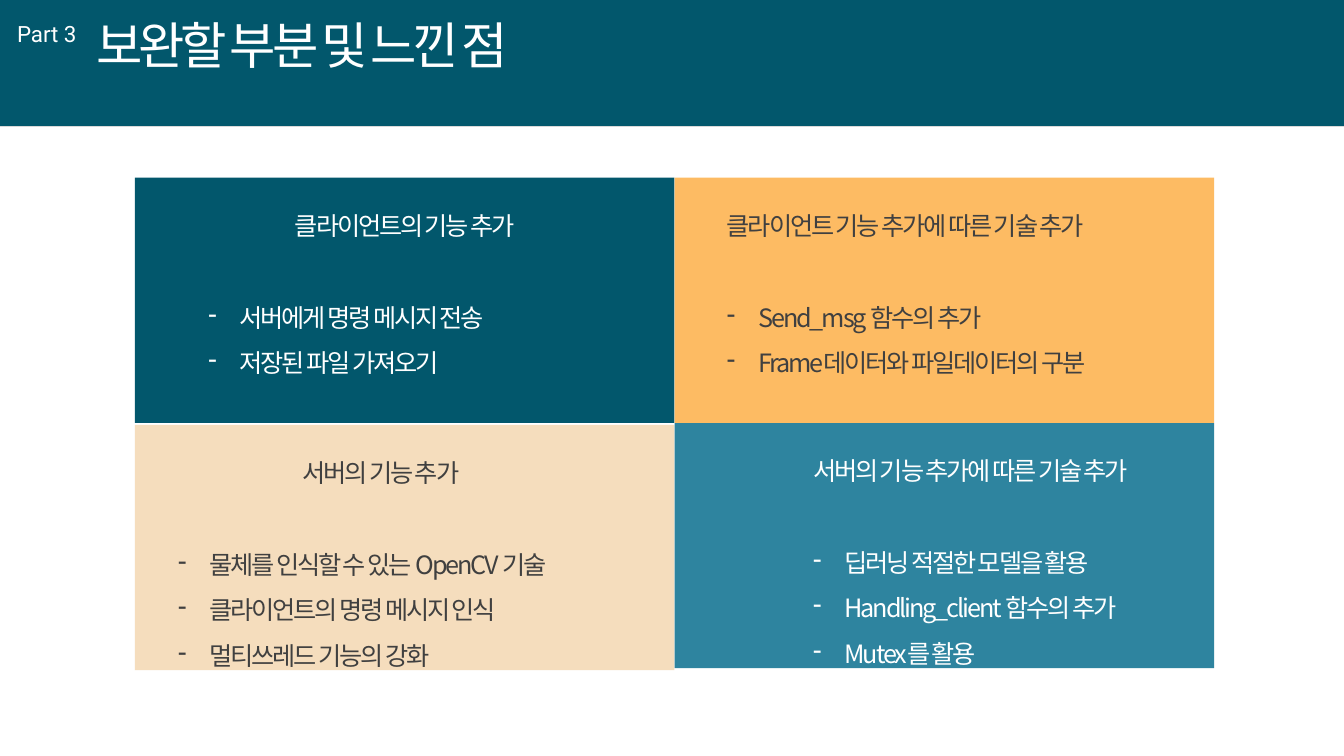
from dataclasses import dataclass
from lxml.etree import SubElement
from pptx import Presentation
from pptx.dml.color import RGBColor
from pptx.enum.shapes import MSO_CONNECTOR, MSO_SHAPE
from pptx.enum.text import MSO_AUTO_SIZE, PP_ALIGN
from pptx.oxml.ns import qn
from pptx.util import Cm, Pt


@dataclass(frozen=True)
class Theme:
    teal: str = "02576C"
    amber: str = "FDBB63"
    sand: str = "F5DDBD"
    blue: str = "2E849F"
    white: str = "FFFFFF"
    dark: str = "404040"
    rule: str = "D9D9D9"
    korean: str = "Noto Sans CJK KR"
    latin: str = "Roboto"
    title: int = 36
    label: int = 16
    body: int = 18
    gap: int = 33


THEME = Theme()


def add_rect(slide, box, fill):
    rect = slide.shapes.add_shape(MSO_SHAPE.RECTANGLE, *map(Cm, box))
    rect.shadow.inherit = False
    rect.fill.solid()
    rect.fill.fore_color.rgb = RGBColor.from_string(fill)
    rect.line.fill.background()


def add_frame(slide, box):
    frame = slide.shapes.add_textbox(*map(Cm, box)).text_frame
    frame.word_wrap = False
    frame.auto_size = MSO_AUTO_SIZE.SHAPE_TO_FIT_TEXT
    return frame


def add_run(para, text, size, color, font=THEME.korean, track=0):
    run = para.add_run()
    run.text = text
    run.font.size = Pt(size)
    run.font.color.rgb = RGBColor.from_string(color)
    run.font.name = font
    props = run.font._element
    SubElement(props, qn("a:ea")).set("typeface", font)
    if track:
        props.set("spc", str(int(track * 100)))


def add_bullet(para):
    props = para._p.get_or_add_pPr()
    props.set("marL", str(Cm(0.79)))
    props.set("indent", str(-Cm(0.79)))
    SubElement(props, qn("a:buChar")).set("char", "-")


def add_header(slide, box):
    left, top, width, height = box
    add_rect(slide, box, THEME.teal)
    line = slide.shapes.add_connector(
        MSO_CONNECTOR.STRAIGHT, Cm(left), Cm(top + height),
        Cm(left + width), Cm(top + height))
    line.line.color.rgb = RGBColor.from_string(THEME.rule)
    line.line.width = Pt(0.5)
    SubElement(line._element.spPr, qn("a:effectLst"))
    title = add_frame(slide, (left + 2.18, top + 0.23, 12.47, 1.8))
    add_run(title.paragraphs[0], "보완할 부분 및 느낀 점", THEME.title, THEME.white, track=-3)
    label = add_frame(slide, (left + 0.18, top + 0.38, 2.18, 0.94))
    add_run(label.paragraphs[0], "Part 3", THEME.label, THEME.white, THEME.latin)


def add_panel(slide, box, fill, color, inset, width, align, head, items):
    left, top = box[:2]
    add_rect(slide, box, fill)
    height = 2.42 + 1.15 * len(items)
    frame = add_frame(slide, (left + inset, top + 0.32, width, height))
    para = frame.paragraphs[0]
    para.alignment = align
    para.line_spacing = 1.5
    add_run(para, head, THEME.body, color, track=-1.5)
    for index, item in enumerate(items):
        para = frame.add_paragraph()
        para.line_spacing = 1.5
        if index == 0:
            para.space_before = Pt(THEME.gap)
        add_bullet(para)
        add_run(para, item, THEME.body, color, track=-1.5)


def add_grid(slide, box):
    left, top, width, height = box
    wide, high = width / 2, height / 2
    panels = [
        (0, 0, THEME.teal, THEME.white, 1.6, 10.41, PP_ALIGN.CENTER,
         "클라이언트의 기능 추가",
         ["서버에게 명령 메시지 전송", "저장된 파일 가져오기"]),
        (wide, 0, THEME.amber, THEME.dark, 1.07, 10.8, PP_ALIGN.LEFT,
         "클라이언트 기능 추가에 따른 기술 추가",
         ["Send_msg 함수의 추가", "Frame데이터와 파일데이터의 구분"]),
        (0, high + 0.05, THEME.sand, THEME.dark, 0.84, 10.72, PP_ALIGN.CENTER,
         "서버의 기능 추가",
         ["물체를 인식할 수 있는 OpenCV 기술", "클라이언트의 명령 메시지 인식",
          "멀티쓰레드 기능의 강화"]),
        (wide, high, THEME.blue, THEME.white, 1.88, 9.8, PP_ALIGN.RIGHT,
         "서버의 기능 추가에 따른 기술 추가",
         ["딥러닝 적절한 모델을 활용", "Handling_client 함수의 추가", "Mutex를 활용"]),
    ]
    for across, down, *rest in panels:
        add_panel(slide, (left + across, top + down, wide, high), *rest)


def main():
    deck = Presentation()
    deck.slide_width = Cm(33.87)
    deck.slide_height = Cm(19.05)
    slide = deck.slides.add_slide(deck.slide_layouts[6])
    add_header(slide, (0, 0, 33.87, 3.18))
    add_grid(slide, (3.4, 4.48, 27.2, 12.36))
    deck.save("out.pptx")


if __name__ == "__main__":
    main()
